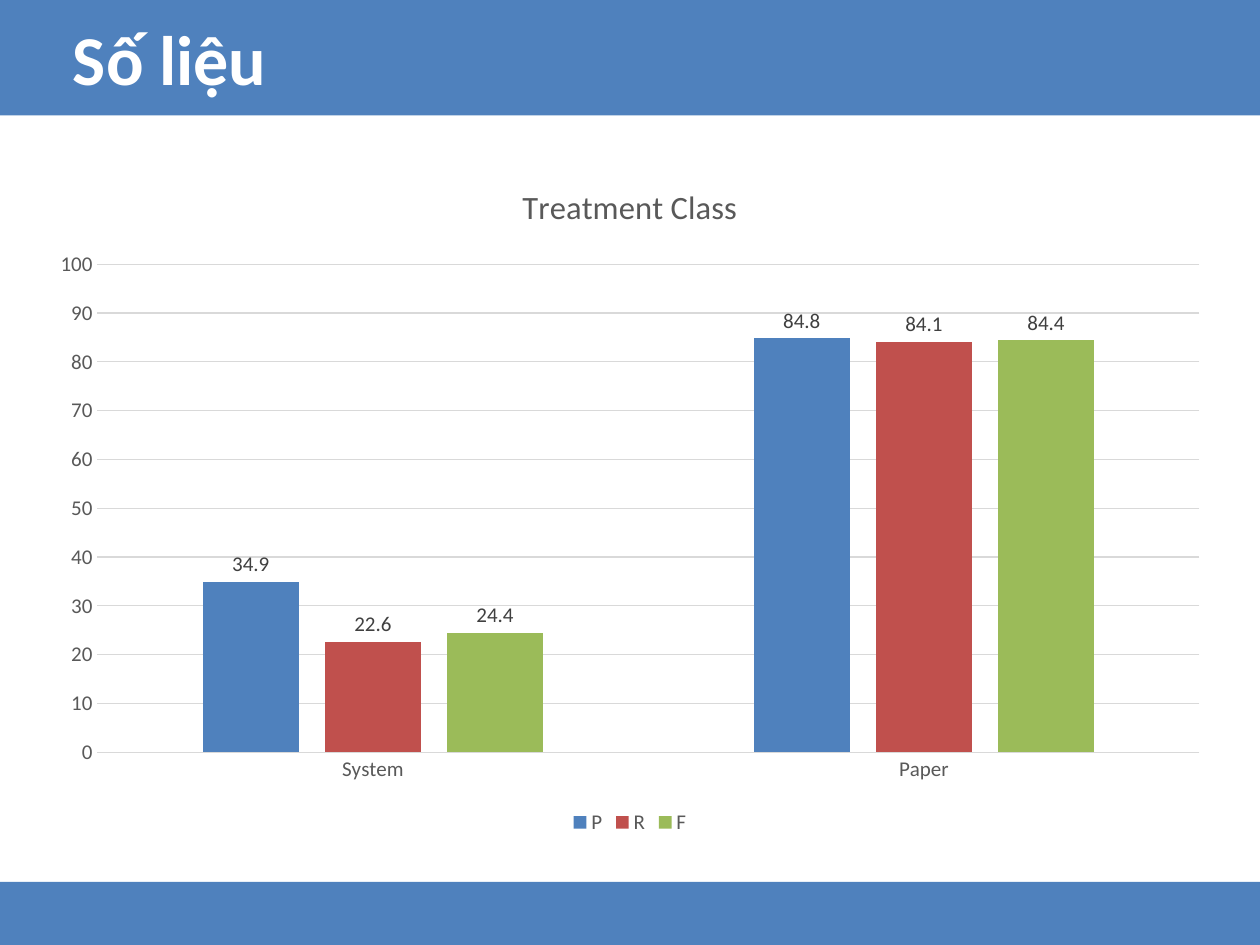
from dataclasses import dataclass

from pptx import Presentation
from pptx.chart.data import CategoryChartData
from pptx.dml.color import RGBColor
from pptx.enum.chart import XL_CHART_TYPE, XL_LABEL_POSITION, XL_LEGEND_POSITION, XL_TICK_MARK
from pptx.enum.shapes import MSO_SHAPE
from pptx.enum.text import MSO_ANCHOR, PP_ALIGN
from pptx.util import Pt


@dataclass(frozen=True)
class Theme:
    face: str = "Calibri"
    band: str = "4F81BD"
    title: str = "FFFFFF"
    text: str = "595959"
    label: str = "404040"
    line: str = "D9D9D9"
    series: tuple = ("4F81BD", "C0504D", "9BBB59")
    title_size: float = 40
    chart_title_size: float = 18.6
    chart_size: float = 12


theme = Theme()


def style_font(font, size, color, bold=False):
    font.name = theme.face
    font.size = Pt(size)
    font.bold = bold
    font.color.rgb = RGBColor.from_string(color)


def style_line(line):
    line.color.rgb = RGBColor.from_string(theme.line)
    line.width = Pt(0.75)


deck = Presentation()
deck.slide_width, deck.slide_height = Pt(720), Pt(540)
page = deck.slides.add_slide(deck.slide_layouts[5])

# Footer and header bands
for top, height in ((504, 36), (0, 66)):
    band = page.shapes.add_shape(MSO_SHAPE.RECTANGLE, 0, Pt(top), Pt(720), Pt(height))
    band.shadow.inherit = False
    band.fill.solid()
    band.fill.fore_color.rgb = RGBColor.from_string(theme.band)
    band.line.fill.background()

# Title, brought in front of the header band
title = page.shapes.title
page.shapes._spTree.append(title._element)
title.left, title.top, title.width, title.height = Pt(34.5), Pt(5), Pt(289), Pt(55.5)
frame = title.text_frame
frame.word_wrap = True
frame.vertical_anchor = MSO_ANCHOR.MIDDLE
para = frame.paragraphs[0]
para.alignment = PP_ALIGN.LEFT
span = para.add_run()
span.text = "Số liệu"
style_font(span.font, theme.title_size, theme.title, bold=True)

# Chart
scores = CategoryChartData()
scores.categories = ["System", "Paper"]
scores.add_series("P", (34.9, 84.8))
scores.add_series("R", (22.6, 84.1))
scores.add_series("F", (24.4, 84.4))
chart = page.shapes.add_chart(
    XL_CHART_TYPE.COLUMN_CLUSTERED, Pt(21), Pt(90), Pt(678), Pt(390), scores
).chart
style_font(chart.font, theme.chart_size, theme.text)

chart.has_title = True
chart.chart_title.include_in_layout = False
span = chart.chart_title.text_frame.paragraphs[0].add_run()
span.text = "Treatment Class"
style_font(span.font, theme.chart_title_size, theme.text)

chart.has_legend = True
chart.legend.position = XL_LEGEND_POSITION.BOTTOM
chart.legend.include_in_layout = False
style_font(chart.legend.font, theme.chart_size, theme.text)

for axis in (chart.category_axis, chart.value_axis):
    axis.major_tick_mark = axis.minor_tick_mark = XL_TICK_MARK.NONE
    style_font(axis.tick_labels.font, theme.chart_size, theme.text)
style_line(chart.category_axis.format.line)
chart.value_axis.format.line.fill.background()
chart.value_axis.minimum_scale = 0
chart.value_axis.maximum_scale = 100
chart.value_axis.major_unit = 10
style_line(chart.value_axis.major_gridlines.format.line)

plot = chart.plots[0]
plot.vary_by_categories = False
plot.gap_width = 219
plot.overlap = -27
for series, color in zip(plot.series, theme.series):
    series.format.fill.solid()
    series.format.fill.fore_color.rgb = RGBColor.from_string(color)
    labels = series.data_labels
    labels.show_value = True
    labels.position = XL_LABEL_POSITION.OUTSIDE_END
    style_font(labels.font, theme.chart_size, theme.label)

deck.save("out.pptx")
